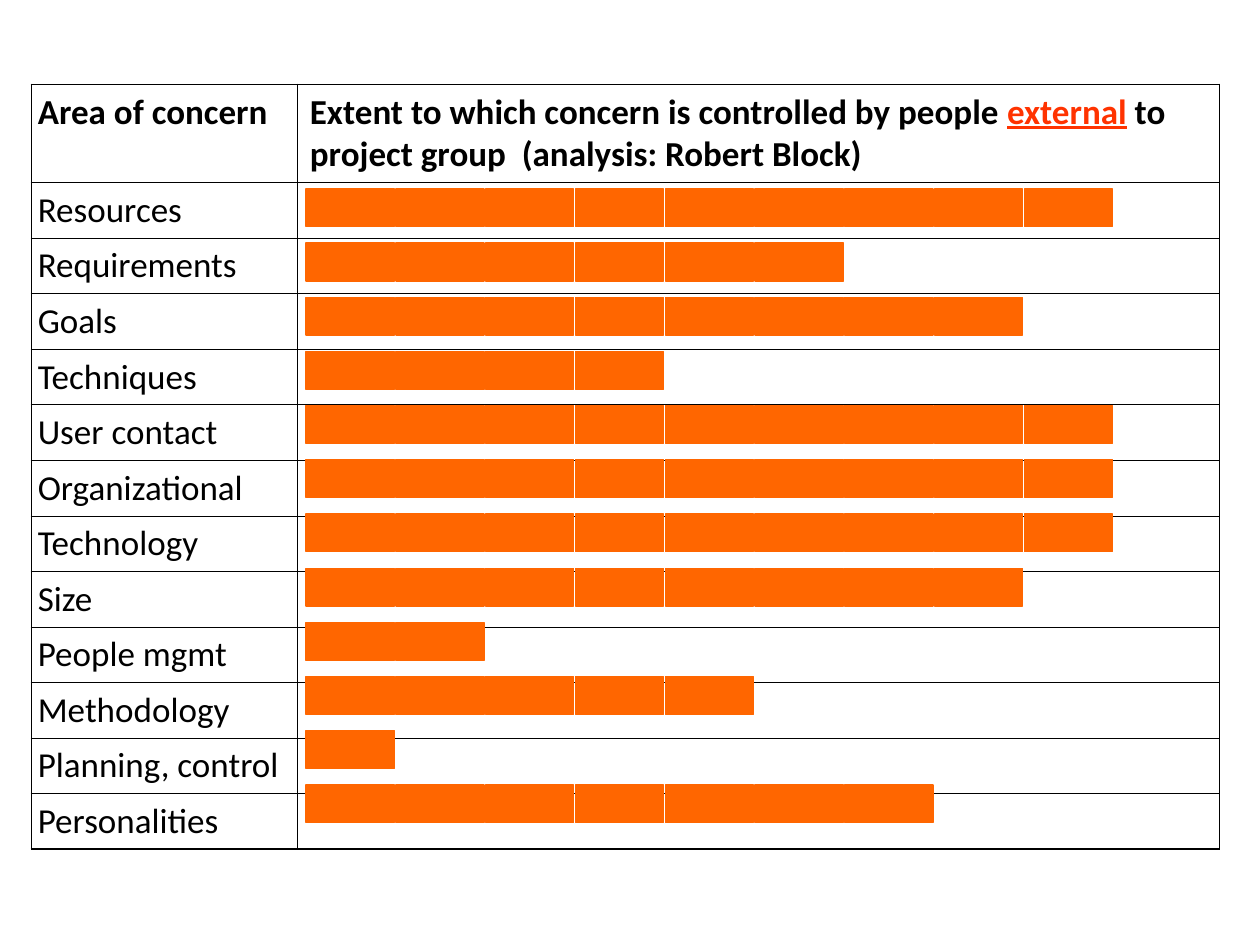
from typing import Any, NamedTuple

from lxml.etree import SubElement
from pptx import Presentation
from pptx.dml.color import RGBColor as Rgb
from pptx.enum.shapes import MSO_SHAPE as Kind
from pptx.oxml.ns import qn
from pptx.util import Inches, Pt

HUES = {"ink": "000000", "key": "FF3300", "bar": "FF6600"}
FONT = {"name": "Calibri", "size": Pt(20)}
THIN, THICK = 0.45, 1.08
HEAD = "Area of concern"
HEAD_H, ROW_H = 0.78, 0.44
LEFT, LAST = 2.43, 8.13  # first and ninth block
STEP = (LAST - LEFT) / 8
TOP, PITCH = 1.5, 0.43
BLOCK_W, BLOCK_H = 0.7, 0.3


class Area(NamedTuple):
    name: str
    score: int


class Part(NamedTuple):
    text: str
    bold: bool = False
    hue: str = "ink"
    under: bool = False


AREAS = [
    Area("Resources", 9),
    Area("Requirements", 6),
    Area("Goals", 8),
    Area("Techniques", 4),
    Area("User contact", 9),
    Area("Organizational", 9),
    Area("Technology", 9),
    Area("Size", 8),
    Area("People mgmt", 2),
    Area("Methodology", 5),
    Area("Planning, control", 1),
    Area("Personalities", 7),
]
EXTENT = [
    Part("Extent to which concern is controlled by people ", True),
    Part("external", True, "key", True),
    Part(" to project group  (analysis: Robert Block)", True),
]


def tint(name: str) -> Rgb:
    return Rgb.from_string(HUES[name])


def set_all(item: Any, form: dict[str, Any]) -> None:
    for key, value in form.items():
        setattr(item, key, value)


def write(cell: Any, parts: list[Part], side: float, space: dict[str, Any]) -> None:
    """Fill a cell with formatted runs; side is its left and right margin."""
    set_all(cell, {
        "margin_left": Inches(side),
        "margin_right": Inches(side),
        "margin_top": Inches(0.05),
        "margin_bottom": Inches(0.05),
    })
    para = cell.text_frame.paragraphs[0]
    set_all(para, space)
    for part in parts:
        run = para.add_run()
        run.text = part.text
        set_all(run.font, FONT | {"bold": part.bold, "underline": part.under})
        run.font.color.rgb = tint(part.hue)


def edge(cell: Any, sides: dict[str, bool]) -> None:
    """Draw the cell borders, thick where a side is on the table's rim."""
    props = cell._tc.get_or_add_tcPr()
    for side, rim in sides.items():
        width = Pt(THICK if rim else THIN)
        line = SubElement(props, qn(f"a:ln{side}"), w=str(width))
        fill = SubElement(line, qn("a:solidFill"))
        SubElement(fill, qn("a:srgbClr"), val=HUES["ink"])
    cell.fill.background()


def add_grid(slide: Any) -> None:
    count = len(AREAS) + 1
    height = HEAD_H + ROW_H * len(AREAS)
    frame = slide.shapes.add_table(
        count, 2, Inches(0.25), Inches(0.67), Inches(9.43), Inches(height))
    grid = frame.table
    set_all(grid, {"first_row": False, "horz_banding": False})
    for col, width in zip(grid.columns, (2.11, 7.32)):
        col.width = Inches(width)
    for i, row in enumerate(grid.rows):
        row.height = Inches(ROW_H if i else HEAD_H)
        for j, cell in enumerate(row.cells):
            edge(cell, {"L": j == 0, "R": j == 1,
                        "T": i == 0, "B": i == count - 1})

    after = {"space_after": Pt(1.2)}
    write(grid.cell(0, 0), [Part(HEAD, True)], 0.05, after)
    write(grid.cell(0, 1), EXTENT, 0.1, after)
    for i, area in enumerate(AREAS, 1):
        write(grid.cell(i, 0), [Part(area.name)], 0.05, {"space_before": Pt(5)})


def add_bar(slide: Any, row: int, score: int) -> None:
    """Add a group of equal blocks, one for each point of the score."""
    group = slide.shapes.add_group_shape()
    for i in range(score):
        block = group.shapes.add_shape(
            Kind.RECTANGLE, Inches(LEFT + i * STEP), Inches(TOP + row * PITCH),
            Inches(BLOCK_W), Inches(BLOCK_H))
        block.shadow.inherit = False
        block.fill.solid()
        block.fill.fore_color.rgb = tint("bar")
        block.line.color.rgb = tint("bar")
        block.line.width = Pt(0.75)


def main() -> None:
    deck = Presentation()
    set_all(deck, {"slide_width": Inches(10), "slide_height": Inches(7.5)})
    slide = deck.slides.add_slide(deck.slide_layouts[6])
    add_grid(slide)
    for row, area in enumerate(AREAS):
        add_bar(slide, row, area.score)
    deck.save("out.pptx")


if __name__ == "__main__":
    main()
